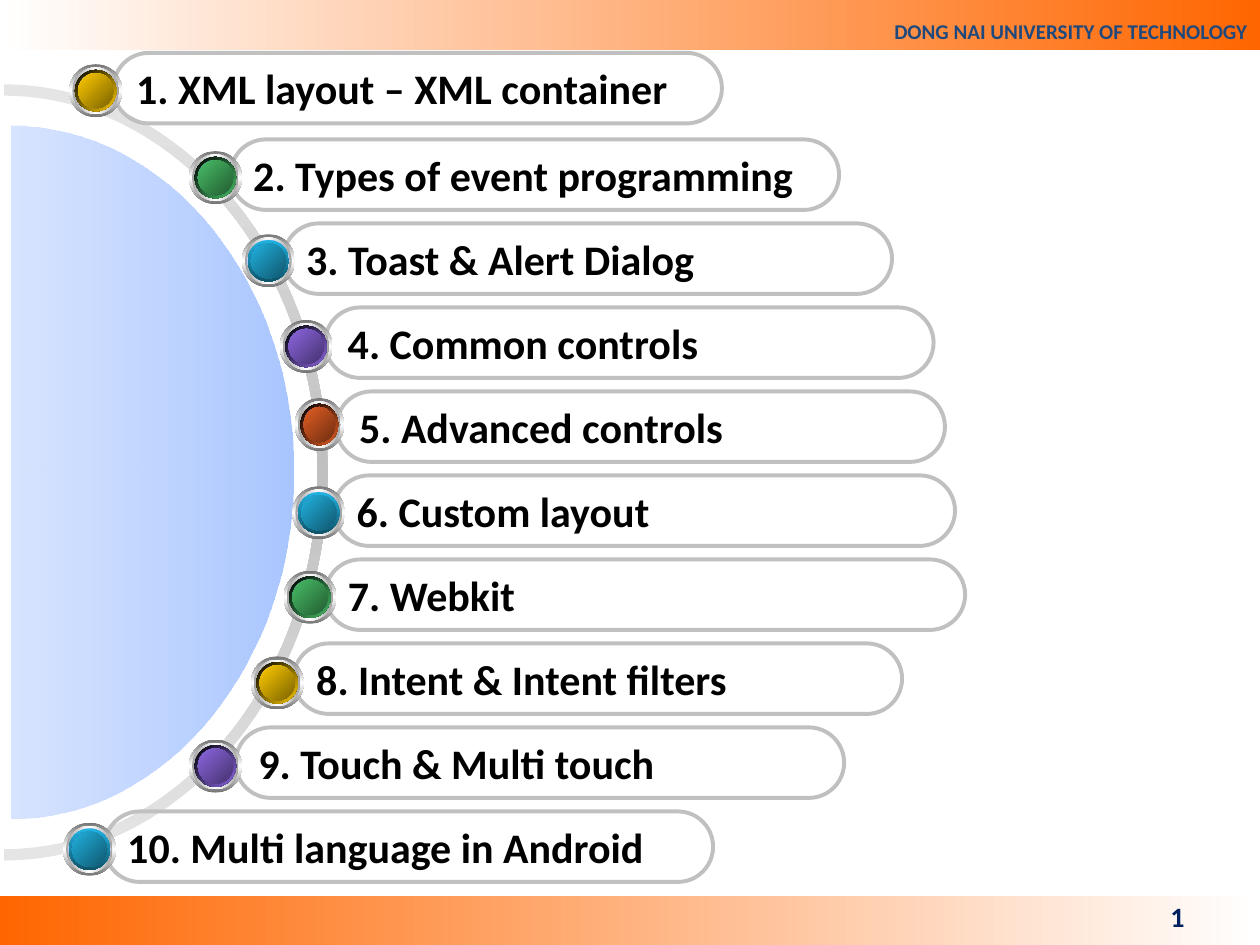
from lxml.etree import SubElement
from pptx import Presentation
from pptx.dml.color import RGBColor
from pptx.enum.shapes import MSO_SHAPE as SHAPE
from pptx.enum.text import MSO_ANCHOR as ANCHOR, PP_ALIGN as ALIGN
from pptx.oxml.ns import qn
from pptx.util import Inches, Pt

W, H = 10, 7.5
PITCH = 2 / 3
TOP = 0.44
MIDDLE = H / 2
CURVE = 0.55
BUTTON = 0.42

COLORS = {
    "white": "FFFFFF", "black": "000000", "orange": "FF6600",
    "header": "1F497D", "number": "002060", "outline": "C0C0C0",
    "arc_end": "E5E5E5", "arc_mid": "C0C0C0",
    "disc_left": "B3CCFF", "disc_right": "6699FF", "glow": "6699FF",
    "yellow": "FFCC00", "green": "48BE67", "blue": "21B3E1",
    "purple": "8D67E1", "red": "E35E23",
}

TOPICS = [
    ("1. XML layout – XML container", -0.03, 0.9, 4.83, 0.55, 0.51, 0.42, "yellow"),
    ("2. Types of event programming", 1, 1.83, 4.83, 1.5, 1.2, 0.42, "green"),
    ("3. Toast & Alert Dialog", 2, 2.25, 4.83, 1.92, 1.86, 0.42, "blue"),
    ("4. Common controls", 3, 2.58, 4.83, 2.22, 2.54, 0.42, "purple"),
    ("5. Advanced controls", 4, 2.67, 4.83, 2.34, 3.16, 0.39, "red"),
    ("6. Custom layout", 5, 2.65, 4.93, 2.32, 3.86, 0.42, "blue"),
    ("7. Webkit", 6, 2.58, 5.08, 2.25, 4.53, 0.42, "green"),
    ("8. Intent & Intent filters", 7, 2.33, 4.83, 1.99, 5.21, 0.42, "yellow"),
    ("9. Touch & Multi touch", 8, 1.87, 4.83, 1.5, 5.87, 0.42, "purple"),
    ("10. Multi language in Android", 9, 0.83, 4.83, 0.5, 6.53, 0.42, "blue"),
]


def fill_gradient(s, stops, angle):
    s.shadow.inherit = False
    s.line.fill.background()
    s.fill.gradient()
    grad = s._element.spPr.find(qn("a:gradFill"))
    for child in list(grad):
        grad.remove(child)
    stop_list = SubElement(grad, qn("a:gsLst"))
    for i, (name, effect, percent) in enumerate(stops):
        pos = str(100000 * i // (len(stops) - 1))
        stop = SubElement(stop_list, qn("a:gs"), pos=pos)
        color = SubElement(stop, qn("a:srgbClr"), val=COLORS[name])
        if effect == "shade":
            SubElement(color, qn("a:gamma"))
        if effect:
            SubElement(color, qn("a:" + effect), val=str(percent * 1000))
        if effect == "shade":
            SubElement(color, qn("a:invGamma"))
    SubElement(grad, qn("a:lin"), ang=str(angle * 60000), scaled="0")


def plain(name):
    return name, None, 0


def shade(name, percent):
    return name, "shade", percent


def alpha(name, percent):
    return name, "alpha", percent


def add_preset(shapes, kind, x, y, w, h):
    return shapes.add_shape(kind, Inches(x), Inches(y), Inches(w), Inches(h))


def write(s, text, size, color, align, anchor):
    tf = s.text_frame
    tf.word_wrap = True
    tf.vertical_anchor = anchor
    p = tf.paragraphs[0]
    p.text = text
    p.alignment = align
    p.font.name = "Calibri"
    p.font.size = Pt(size)
    p.font.bold = True
    p.font.color.rgb = RGBColor.from_string(COLORS[color])
    return p


def add_band(slide, y, h, names):
    s = add_preset(slide.shapes, SHAPE.RECTANGLE, 0, y, W, h)
    fill_gradient(s, [plain(name) for name in names], 0)
    return s


def half_ellipse(cx, rx, ry):
    units = [(0, -1), (CURVE, -1), (1, -CURVE), (1, 0), (1, CURVE), (CURVE, 1), (0, 1)]
    return [(Inches(cx + rx * u), Inches(MIDDLE + ry * v)) for u, v in units]


def add_curved(slide, halves):
    points = [point for half in halves for point in half]
    builder = slide.shapes.build_freeform(*points[0])
    builder.add_line_segments(points[1:], close=True)
    s = builder.convert_to_shape()
    lines = list(s._element.iter(qn("a:lnTo")))
    for start in range(0, len(lines), 7):
        for first in (start, start + 3):
            curve = lines[first].makeelement(qn("a:cubicBezTo"))
            lines[first].addprevious(curve)
            for line in lines[first:first + 3]:
                curve.append(line[0])
                line.getparent().remove(line)
    return s


def add_pill(slide, text, row, x, w):
    s = add_preset(slide.shapes, SHAPE.ROUNDED_RECTANGLE, x, TOP + row * PITCH, w, 0.56)
    s.adjustments[0] = 0.5
    s.shadow.inherit = False
    s.fill.background()
    s.line.color.rgb = RGBColor.from_string(COLORS["outline"])
    s.line.width = Pt(2.25)
    write(s, text, 24, "black", ALIGN.LEFT, ANCHOR.MIDDLE)


def add_button(slide, x, y, w, color):
    white, glow, face = plain("white"), plain("glow"), plain(color)
    chrome, silver = shade("white", 46), shade("white", 64)
    glow_edge = shade("glow", 55)
    rim = ([face, shade(color, 47)], 90) if color == "blue" else ([plain("black"), face], 45)
    layers = [
        (BUTTON, [chrome, white, chrome], 90),
        (0.37, [silver, white, silver], 0),
        (0.33, [white, glow, white], 45),
        (0.33, *rim),
        (0.28, [glow_edge, glow, glow_edge], 315),
        (0.28, [face, shade(color, 49)], 45),
    ]
    group = slide.shapes.add_group_shape()
    for size, stops, angle in layers:
        inset = (BUTTON - size) / 2
        s = add_preset(group.shapes, SHAPE.OVAL, x + inset, y + inset,
                       w - 2 * inset, size)
        fill_gradient(s, stops, angle)


def main():
    prs = Presentation()
    prs.slide_width, prs.slide_height = Inches(W), Inches(H)
    slide = prs.slides.add_slide(prs.slide_layouts[6])

    add_band(slide, 7.11, 0.39, ["orange", "white"])
    header = add_band(slide, -0.06, 0.46, ["white", "orange"])
    p = write(header, "DONG NAI UNIVERSITY OF TECHNOLOGY", 12, "header",
              ALIGN.RIGHT, ANCHOR.BOTTOM)
    p.line_spacing = 1.8
    number = slide.shapes.add_textbox(Inches(7.17), Inches(7.07), Inches(2.33), Inches(0.4))
    write(number, "1", 16, "number", ALIGN.RIGHT, ANCHOR.MIDDLE)

    arc = add_curved(slide, [half_ellipse(0.03, 2.57, 3.08),
                             half_ellipse(0.03, 2.49, 2.99)[::-1]])
    fill_gradient(arc, [plain("arc_end"), plain("arc_mid"), plain("arc_end")], 90)
    disc = add_curved(slide, [half_ellipse(0.09, 2.24, 2.75)])
    fill_gradient(disc, [alpha("disc_left", 52), alpha("disc_right", 56)], 0)

    for text, row, x, w, button_x, button_y, button_w, color in TOPICS:
        add_pill(slide, text, row, x, w)
        add_button(slide, button_x, button_y, button_w, color)

    prs.save("out.pptx")


if __name__ == "__main__":
    main()
